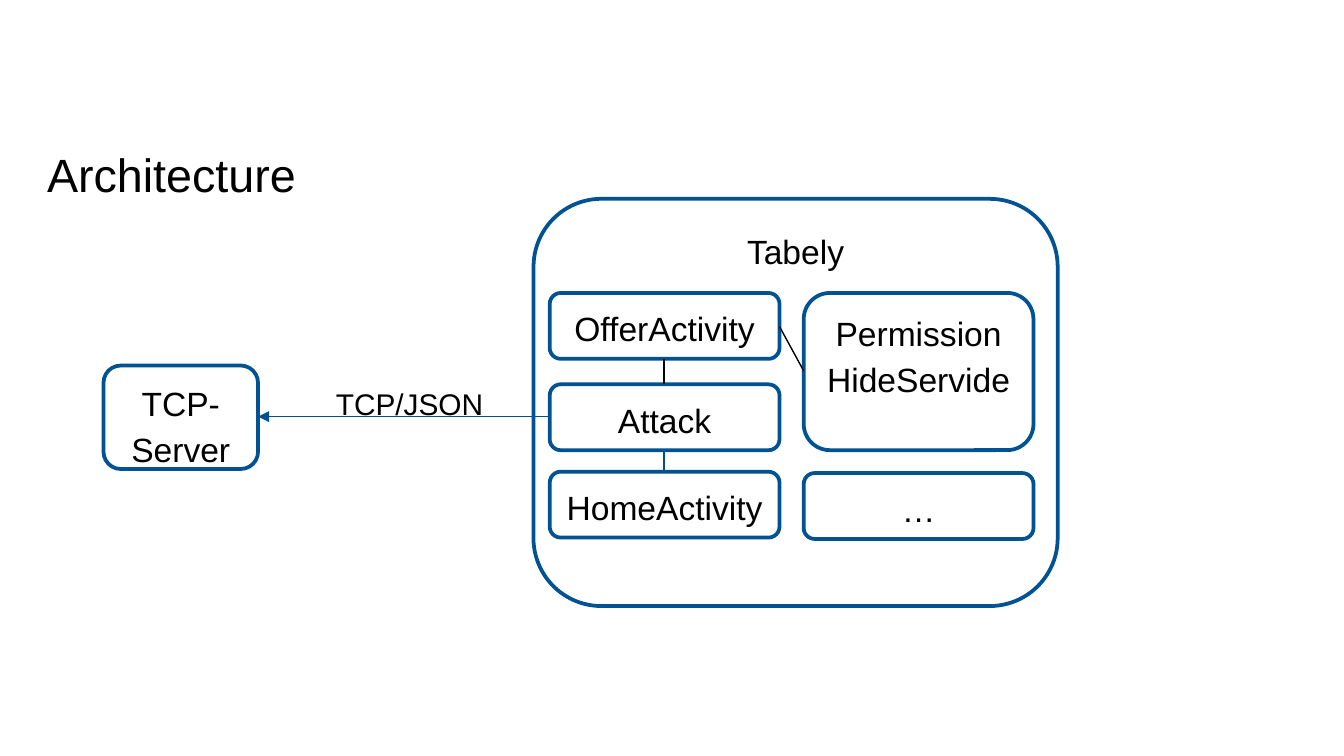
from pptx import Presentation
from pptx.dml.color import RGBColor
from pptx.enum.shapes import MSO_CONNECTOR, MSO_SHAPE
from pptx.enum.text import MSO_ANCHOR, MSO_AUTO_SIZE, PP_ALIGN
from pptx.oxml.ns import qn
from pptx.util import Inches, Pt
from lxml import etree

ROUND = MSO_SHAPE.ROUNDED_RECTANGLE
STRAIGHT = MSO_CONNECTOR.STRAIGHT
TOP = MSO_ANCHOR.TOP
GROW = MSO_AUTO_SIZE.SHAPE_TO_FIT_TEXT
LEFT, CENTER = PP_ALIGN.LEFT, PP_ALIGN.CENTER

BLACK, BLUE, NAVY = "000000", "005293", "005090"


def color(code):
    return RGBColor.from_string(code)


def write(frame, text, size=18, font="Arial", ink=BLACK, align=CENTER, space=1.14):
    frame.word_wrap = True
    frame.vertical_anchor = TOP
    para = frame.paragraphs[0]
    para.text = text
    para.alignment = align
    para.line_spacing = space
    for run in para.runs:
        run.font.size = Pt(size)
        run.font.name = font
        run.font.color.rgb = color(ink)


class Sketch:
    """Draws styled elements on the current slide."""

    def __init__(self, slide, edge=BLUE, thick=2, thin=0.75):
        self.shapes = slide.shapes
        self.edge, self.thick, self.thin = edge, thick, thin

    def label(self, text, x, y, wide, high, **style):
        area = self.shapes.add_textbox(*map(Inches, (x, y, wide, high)))
        frame = area.text_frame
        frame.margin_left = frame.margin_right = 0
        frame.margin_top = frame.margin_bottom = 0
        write(frame, text, align=LEFT, **style)
        frame.auto_size = GROW

    def box(self, text, x, y, wide, high):
        shape = self.shapes.add_shape(ROUND, *map(Inches, (x, y, wide, high)))
        shape.shadow.inherit = False
        shape.fill.background()
        shape.line.color.rgb = color(self.edge)
        shape.line.width = Pt(self.thick)
        write(shape.text_frame, text)

    def link(self, start, end, ink=BLACK, arrow=False):
        line = self.shapes.add_connector(STRAIGHT, *map(Inches, (*start, *end)))
        line.line.color.rgb = color(ink)
        line.line.width = Pt(self.thin)
        props = line._element.spPr
        if arrow:
            tip = etree.SubElement(props.find(qn("a:ln")), qn("a:tailEnd"))
            tip.set("type", "triangle")
        etree.SubElement(props, qn("a:effectLst"))


def main():
    deck = Presentation()
    deck.slide_width = Inches(10)
    deck.slide_height = deck.slide_width * 9 // 16
    sketch = Sketch(deck.slides.add_slide(deck.slide_layouts[6]))

    near, far, wide, high = 4.09, 5.98, 1.71, 0.49
    offer, attack, home = 2.18, 2.86, 3.51
    mid, right, level = 4.94, near + wide, 3.1

    sketch.label("Architecture", 0.35, 1.06, 9.31, 0.42, size=25, space=Pt(32))
    sketch.box("Tabely", 3.97, 1.48, 3.9, 3.03)
    sketch.box("TCP-Server", 0.77, 2.72, 1.15, 0.77)
    for text, y in (("Attack", attack), ("OfferActivity", offer), ("HomeActivity", home)):
        sketch.box(text, near, y, wide, high)
    sketch.box("Permission\nHideServide", far, offer, wide, 1.17)
    sketch.box("…", far, 3.52, wide, high)

    sketch.link((near, level), (1.92, level), NAVY, arrow=True)
    sketch.link((mid, attack), (mid, offer + high))
    sketch.link((mid, attack + high), (mid, home), NAVY)
    sketch.label("TCP/JSON", 2.5, 2.83, 1.23, 0.28, size=16)
    sketch.link((far, 2.76), (right, 2.43))

    deck.save("out.pptx")


if __name__ == "__main__":
    main()
